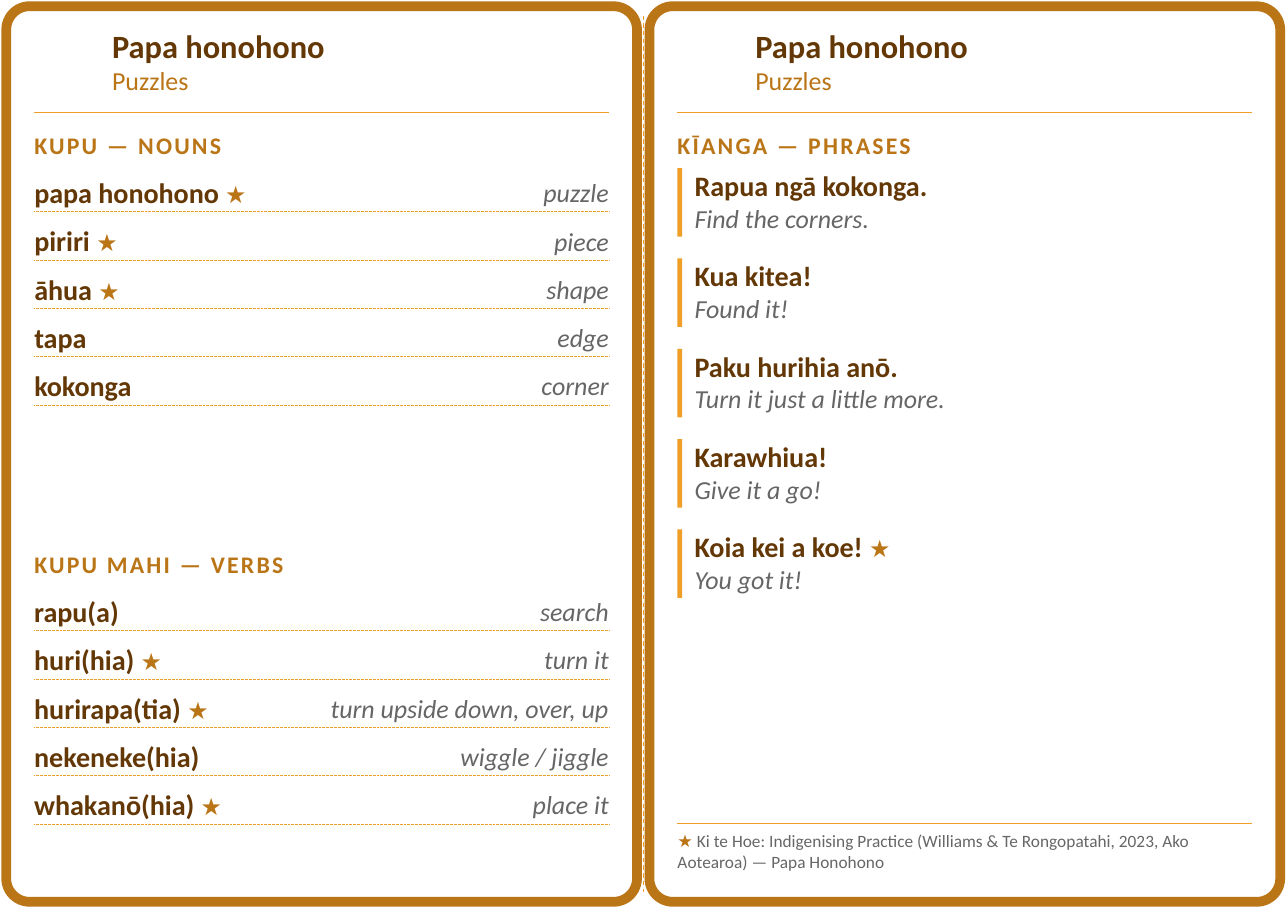
from lxml import etree
from pptx import Presentation, util as u
from pptx.dml.color import RGBColor
from pptx.enum import dml, shapes, text
from pptx.oxml import ns

COLOURS = {"brown": "633806", "bronze": "BA7517", "amber": "EF9F27", "grey": "666666"}
FOLD, MARGIN, WIDTH = 4.13, 0.22, 3.69
ROW, PHRASE_STEP = 0.31, 0.58

NOUNS = [("papa honohono ★", "puzzle"), ("piriri ★", "piece"), ("āhua ★", "shape"),
         ("tapa", "edge"), ("kokonga", "corner")]
VERBS = [("rapu(a)", "search"), ("huri(hia) ★", "turn it"),
         ("hurirapa(tia) ★", "turn upside down, over, up"),
         ("nekeneke(hia)", "wiggle / jiggle"), ("whakanō(hia) ★", "place it")]
PHRASES = [("Rapua ngā kokonga.", "Find the corners."), ("Kua kitea!", "Found it!"),
           ("Paku hurihia anō.", "Turn it just a little more."),
           ("Karawhiua!", "Give it a go!"), ("Koia kei a koe! ★", "You got it!")]
SOURCE = ("Ki te Hoe: Indigenising Practice (Williams & Te Rongopatahi, 2023, "
          "Ako Aotearoa) — Papa Honohono")

TERM = dict(size=13, colour="brown", bold=True)
MEANING = dict(size=12, colour="grey", italic=True)


def rgb(name):
    """Return a named colour."""
    return RGBColor.from_string(COLOURS[name])


def add_span(para, words, size, colour, bold=False, italic=False, spacing=0):
    """Add one formatted run to a paragraph."""
    span = para.add_run()
    span.text = words
    font = span.font
    font.name, font.size, font.bold, font.italic = "Calibri", u.Pt(size), bold, italic
    font.color.rgb = rgb(colour)
    if spacing:
        span._r.get_or_add_rPr().set("spc", str(spacing * 100))


def add_box(page, left, top, width, height, middle=True):
    """Add an empty text box without insets and return its frame."""
    frame = page.shapes.add_textbox(*map(u.Inches, (left, top, width, height))).text_frame
    frame.word_wrap = True
    frame.margin_left = frame.margin_right = frame.margin_top = frame.margin_bottom = 0
    frame.vertical_anchor = text.MSO_ANCHOR.MIDDLE if middle else text.MSO_ANCHOR.TOP
    return frame


def add_text(page, words, left, top, width, height, middle=True, right=False, **style):
    """Add a one-paragraph text box, with any closing star in bronze."""
    para = add_box(page, left, top, width, height, middle).paragraphs[0]
    para.alignment = text.PP_ALIGN.RIGHT if right else text.PP_ALIGN.LEFT
    term, star, _ = words.partition("★")
    add_span(para, term, **style)
    if star:
        add_span(para, star, 11, "bronze")


def add_line(page, x1, y1, x2, y2, weight=0.5, dash=None):
    """Add a thin amber line."""
    line = page.shapes.add_connector(shapes.MSO_CONNECTOR.STRAIGHT,
                                     *map(u.Inches, (x1, y1, x2, y2)))
    line.line.color.rgb = rgb("amber")
    line.line.width = u.Pt(weight)
    if dash:
        line.line.dash_style = dash
    etree.SubElement(line._element.spPr, ns.qn("a:effectLst"))


def add_rule(page, left, top, **style):
    """Add a line across the content of a card."""
    add_line(page, left, top, left + WIDTH, top, **style)


def add_heading(page, words, left, top):
    """Add a spaced section heading."""
    add_text(page, words, left, top, WIDTH, 0.22, size=11, colour="bronze",
             bold=True, spacing=1)


def add_card(page, offset):
    """Add a rounded card frame with its title and rule."""
    frame = page.shapes.add_shape(shapes.MSO_SHAPE.ROUNDED_RECTANGLE,
                                  *map(u.Inches, (offset + 0.04, 0.04, 4.05, 5.75)))
    frame.adjustments[0] = 0.037
    frame.shadow.inherit = False
    frame.fill.background()
    frame.line.color.rgb = rgb("bronze")
    frame.line.width = u.Pt(4.5)
    title = add_box(page, offset + 0.72, 0.14, 2.5, 0.5)
    add_span(title.paragraphs[0], "Papa honohono", 15, "brown", bold=True)
    add_span(title.add_paragraph(), "Puzzles", 12, "bronze")
    add_rule(page, offset + MARGIN, 0.72)


def add_word_list(page, heading, words, top, term_width, meaning_width):
    """Add a heading and dotted rows of terms with meanings."""
    add_heading(page, heading, MARGIN, top)
    for index, (term, meaning) in enumerate(words):
        y = top + 0.26 + index * ROW
        add_text(page, term, MARGIN, y, term_width, ROW, **TERM)
        add_text(page, meaning, MARGIN + WIDTH - meaning_width, y, meaning_width, ROW,
                 right=True, **MEANING)
        add_rule(page, MARGIN, y + 0.28, weight=0.3, dash=dml.MSO_LINE.ROUND_DOT)


def add_phrase(page, phrase, meaning, left, top):
    """Add a phrase above its meaning, beside an amber bar."""
    bar = page.shapes.add_shape(shapes.MSO_SHAPE.RECTANGLE,
                                *map(u.Inches, (left, top, 0.03, 0.44)))
    bar.shadow.inherit = False
    bar.fill.solid()
    bar.fill.fore_color.rgb = rgb("amber")
    bar.line.fill.background()
    add_text(page, phrase, left + 0.11, top, 3.58, 0.28, middle=False, **TERM)
    add_text(page, meaning, left + 0.11, top + 0.22, 3.58, 0.2, middle=False, **MEANING)


def main():
    """Build the two vocabulary cards."""
    deck = Presentation()
    deck.slide_width, deck.slide_height = u.Inches(8.27), u.Inches(5.83)
    page = deck.slides.add_slide(deck.slide_layouts[6])
    add_line(page, FOLD, 0.1, FOLD, 5.73, dash=dml.MSO_LINE.DASH)

    add_card(page, 0)
    add_word_list(page, "KUPU — NOUNS", NOUNS, 0.82, 2.22, 1.7)
    add_word_list(page, "KUPU MAHI — VERBS", VERBS, 3.51, 1.77, 2.36)

    add_card(page, FOLD)
    left = FOLD + MARGIN
    add_heading(page, "KĪANGA — PHRASES", left, 0.82)
    for index, (phrase, meaning) in enumerate(PHRASES):
        add_phrase(page, phrase, meaning, left, 1.08 + index * PHRASE_STEP)
    add_rule(page, left, 5.29)
    para = add_box(page, left, 5.33, WIDTH, 0.44, middle=False).paragraphs[0]
    add_span(para, "★ ", 8, "bronze")
    add_span(para, SOURCE, 8, "grey")
    deck.save("out.pptx")


if __name__ == "__main__":
    main()
